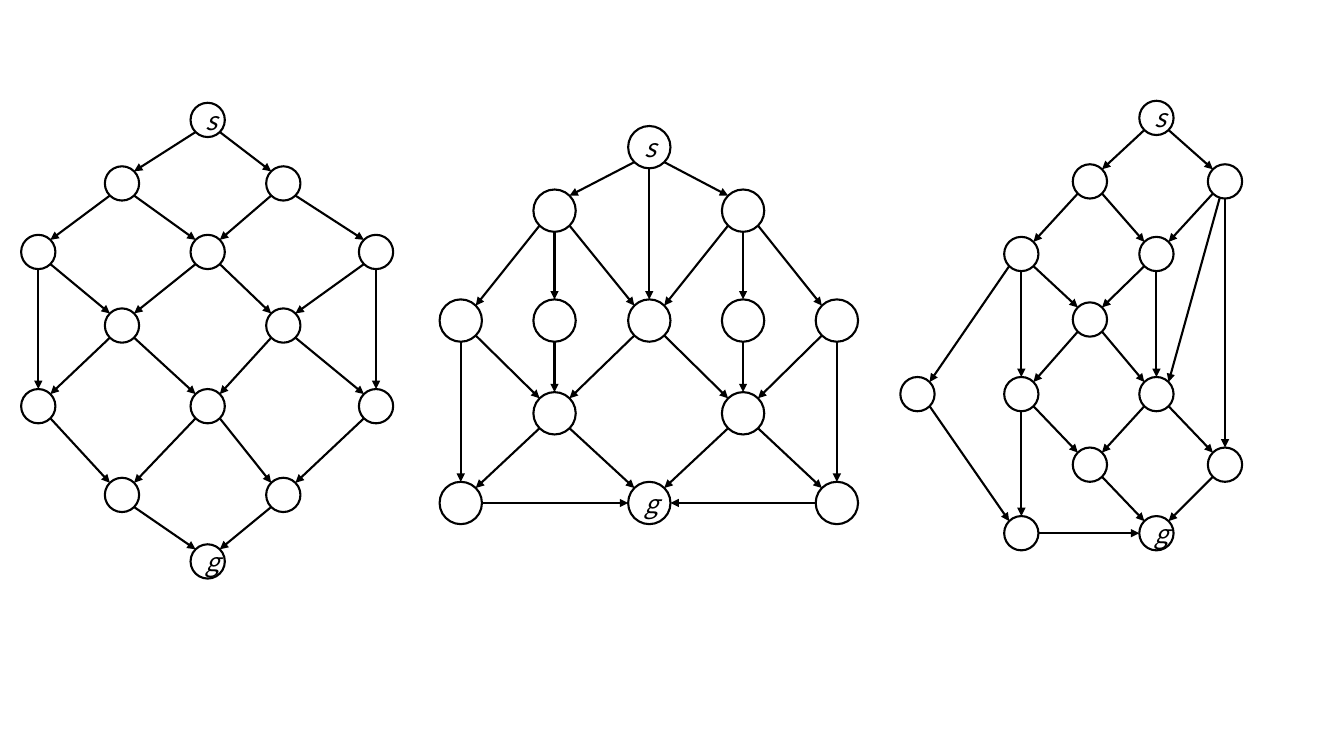
from dataclasses import dataclass
from math import copysign, hypot, sqrt

from lxml import etree
from pptx import Presentation
from pptx.dml.color import RGBColor
from pptx.enum.shapes import MSO_CONNECTOR, MSO_SHAPE
from pptx.enum.text import MSO_ANCHOR, PP_ALIGN
from pptx.oxml.ns import qn
from pptx.util import Inches, Pt

OVAL = MSO_SHAPE.OVAL
STRAIGHT = MSO_CONNECTOR.STRAIGHT
MIDDLE = MSO_ANCHOR.MIDDLE
CENTER = PP_ALIGN.CENTER
BLACK = RGBColor(0x00, 0x00, 0x00)
FONT = "Noto Sans CJK JP"
STROKE = Pt(1.5)


@dataclass
class Graph:
    """A directed graph on a grid; node "b3" sits in column b, row 3.

    Column and row offsets are inches from the left and top of the box.
    """
    left: float
    top: float
    diameter: float
    columns: list
    rows: list
    start: str
    goal: str
    successors: dict


HEXAGON = Graph(
    0.21, 1.02, 0.34,
    [0, 0.83, 1.68, 2.43, 3.35], [0, 0.63, 1.31, 2.04, 2.84, 3.72, 4.38],
    "c0", "c6",
    {"c0": "b1 d1", "b1": "a2 c2", "d1": "c2 e2",
     "a2": "b3 a4", "c2": "b3 d3", "e2": "d3 e4",
     "b3": "a4 c4", "d3": "c4 e4",
     "a4": "b5", "c4": "b5 d5", "e4": "d5",
     "b5": "c6", "d5": "c6"})

HOUSE = Graph(
    4.36, 1.25, 0.42,
    [0, 0.93, 1.87, 2.8, 3.73], [0, 0.63, 1.72, 2.64, 3.53],
    "c0", "c4",
    {"c0": "b1 c2 d1", "b1": "a2 b2 c2", "d1": "c2 d2 e2",
     "a2": "a4 b3", "b2": "b3", "c2": "b3 d3", "d2": "d3", "e2": "d3 e4",
     "b3": "a4 c4", "d3": "c4 e4", "a4": "c4", "e4": "c4"})

TOWER = Graph(
    8.93, 1.0, 0.34,
    [0, 1.03, 1.71, 2.37, 3.05], [0, 0.63, 1.35, 2, 2.74, 3.44, 4.12],
    "d0", "d6",
    {"d0": "c1 e1", "c1": "b2 d2", "e1": "d2 d4 e5",
     "b2": "a4 b4 c3", "d2": "c3 d4", "c3": "b4 d4",
     "a4": "b6", "b4": "b6 c5", "d4": "c5 e5",
     "c5": "d6", "e5": "d6", "b6": "d6"})


def add_node(shapes, center, diameter, label):
    """Add an unfilled circle around center, with an italic label if given."""
    x, y = center
    node = shapes.add_shape(OVAL, Inches(x - diameter / 2), Inches(y - diameter / 2),
                            Inches(diameter), Inches(diameter))
    node.shadow.inherit = False
    node.fill.background()
    node.line.color.rgb = BLACK
    node.line.width = STROKE
    if label:
        node.text_frame.vertical_anchor = MIDDLE
        paragraph = node.text_frame.paragraphs[0]
        paragraph.alignment = CENTER
        run = paragraph.add_run()
        run.text = label
        run.font.name = FONT
        run.font.size = Pt(18)
        run.font.italic = True
        run.font.color.rgb = BLACK


def edge_directions(dx, dy):
    """Return the unit vectors at which an edge leaves and enters its circles."""
    if dx == 0 or dy == 0:
        straight = (dx / hypot(dx, dy), dy / hypot(dx, dy))
        return straight, straight
    diagonal = (copysign(sqrt(0.5), dx), copysign(sqrt(0.5), dy))
    if abs(dy) > 2 * abs(dx):  # a steep edge leaves along its own slope
        return (dx / hypot(dx, dy), dy / hypot(dx, dy)), diagonal
    return diagonal, diagonal


def add_edge(shapes, source, target, radius):
    """Add an arrow from the rim of the source circle to that of the target."""
    leave, enter = edge_directions(target[0] - source[0], target[1] - source[1])
    begin = [Inches(c + radius * u) for c, u in zip(source, leave)]
    end = [Inches(c - radius * u) for c, u in zip(target, enter)]
    edge = shapes.add_connector(STRAIGHT, *begin, *end)
    edge.line.color.rgb = BLACK
    edge.line.width = STROKE
    etree.SubElement(edge.line._get_or_add_ln(), qn("a:tailEnd"), type="triangle")
    etree.SubElement(edge._element.spPr, qn("a:effectLst"))


def add_graph(slide, graph):
    """Draw one graph as a group, relative to the corner of its box."""
    shapes = slide.shapes.add_group_shape().shapes
    radius = graph.diameter / 2
    labels = {graph.start: "s", graph.goal: "g"}
    centers = {
        node: (graph.left + graph.columns["abcde".index(node[0])] + radius,
               graph.top + graph.rows[int(node[1])] + radius)
        for node in [*graph.successors, graph.goal]}
    for node, center in centers.items():
        add_node(shapes, center, graph.diameter, labels.get(node))
    for node, targets in graph.successors.items():
        for target in targets.split():
            add_edge(shapes, centers[node], centers[target], radius)


presentation = Presentation()
presentation.slide_width = Inches(13.33)
presentation.slide_height = Inches(7.5)
slide = presentation.slides.add_slide(presentation.slide_layouts[6])
for graph in (HEXAGON, HOUSE, TOWER):
    add_graph(slide, graph)
presentation.save("out.pptx")
